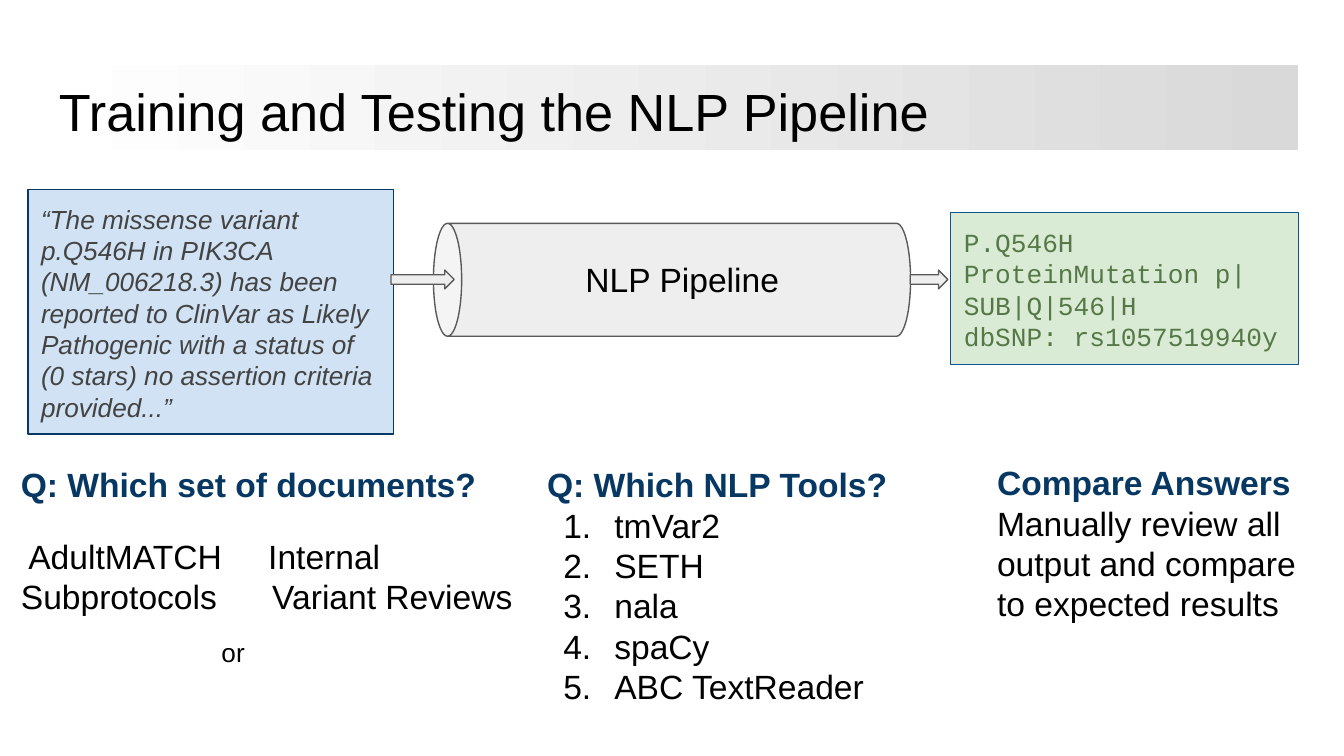
from lxml import etree
from pptx import Presentation
from pptx import util as u
from pptx.dml.color import RGBColor
from pptx.enum import shapes, text
from pptx.oxml import ns

COLUMNS = 100
WIDTH = u.Inches(10)
HEIGHT = WIDTH * 9 // 16
CELL = WIDTH // COLUMNS
MARGIN = CELL
BLACK = RGBColor(0x00, 0x00, 0x00)
WHITE = RGBColor(0xFF, 0xFF, 0xFF)
SILVER = RGBColor(0xD9, 0xD9, 0xD9)
PALE_GREY = RGBColor(0xEE, 0xEE, 0xEE)
MID_GREY = RGBColor(0x59, 0x59, 0x59)
DARK_GREY = RGBColor(0x43, 0x43, 0x43)
NAVY = RGBColor(0x07, 0x37, 0x63)
BLUE = RGBColor(0x0B, 0x53, 0x94)
PALE_BLUE = RGBColor(0xD0, 0xE2, 0xF3)
PALE_GREEN = RGBColor(0xD9, 0xEB, 0xD4)
GREEN = RGBColor(0x56, 0x78, 0x47)

INPUT_TEXT = (
    "“The missense variant p.Q546H in PIK3CA (NM_006218.3) has been reported to "
    "ClinVar as Likely Pathogenic with a status of (0 stars) no assertion criteria provided...”"
)
OUTPUT_LINES = ["P.Q546H ProteinMutation p|SUB|Q|546|H", "dbSNP: rs1057519940y"]
TOOLS = ["tmVar2", "SETH", "nala", "spaCy", "ABC TextReader"]
DOCUMENTS = [(" AdultMATCH\tInternal", 17, 1.84), ("Subprotocols\tVariant Reviews", 0, 1.87)]


def grid(*cells):
    return [round(cell * CELL) for cell in cells]


def add_box(slide, cells, kind=shapes.MSO_SHAPE.RECTANGLE, fill=None, line=None):
    shape = slide.shapes.add_shape(kind, *grid(*cells))
    shape.shadow.inherit = False
    if fill is None:
        shape.fill.background()
    else:
        shape.fill.solid()
        shape.fill.fore_color.rgb = fill
    if line is None:
        shape.line.fill.background()
    else:
        shape.line.color.rgb = line
        shape.line.width = u.Pt(0.75)
    return shape


def add_text_box(slide, cells):
    return slide.shapes.add_textbox(*grid(*cells))


def write(shape, content, size=18, color=BLACK, font="Arial", bold=False,
          italic=False, align=text.PP_ALIGN.LEFT, before=0):
    frame = shape.text_frame
    frame.word_wrap = True
    frame.vertical_anchor = text.MSO_ANCHOR.TOP
    frame.margin_left = frame.margin_right = MARGIN
    frame.margin_top = frame.margin_bottom = MARGIN
    paragraph = frame.add_paragraph() if frame.text else frame.paragraphs[0]
    paragraph.alignment = align
    paragraph.space_before = u.Pt(before)
    run = paragraph.add_run()
    run.text = content
    run.font.size = u.Pt(size)
    run.font.name = font
    run.font.color.rgb = color
    run.font.bold = bold
    run.font.italic = italic
    return paragraph


def add_property(parent, tag, **attributes):
    return etree.SubElement(parent, ns.qn(tag), attributes)


def number(paragraph):
    properties = paragraph._p.get_or_add_pPr()
    properties.set("marL", str(u.Inches(0.5)))
    properties.set("indent", str(u.Inches(-0.38)))
    add_property(add_property(properties, "a:buClr"), "a:srgbClr", val=str(BLACK))
    add_property(properties, "a:buAutoNum", type="arabicPeriod")


def add_tab_stop(paragraph, position):
    properties = paragraph._p.get_or_add_pPr()
    add_property(properties, "a:buNone")
    stops = add_property(properties, "a:tabLst")
    add_property(stops, "a:tab", pos=str(u.Inches(position)), algn="l")


def add_title(slide):
    title = add_box(slide, (3.4, 4.87, 93.2, 6.3))
    title.fill.gradient()
    title.fill.gradient_angle = 0
    for stop, color in zip(title.fill.gradient_stops, (WHITE, SILVER)):
        stop.color.rgb = color
    write(title, "Training and Testing the NLP Pipeline", size=28)


def add_flow(slide):
    source = add_box(slide, (2.07, 14.1, 27.2, 18.2), fill=PALE_BLUE, line=NAVY)
    write(source, INPUT_TEXT, size=14, color=DARK_GREY, italic=True)
    result = add_box(slide, (70.73, 15.83, 25.9, 11.3), fill=PALE_GREEN, line=BLUE)
    for line in OUTPUT_LINES:
        write(result, line, size=14, color=GREEN, font="Courier New")
    pipe = add_box(slide, (45.8, 3.07, 8.4, 35.5), shapes.MSO_SHAPE.CAN, PALE_GREY, MID_GREY)
    pipe.rotation = 270
    pipe.adjustments[0] = 0.25
    for left, width in ((29.1, 4.7), (67.73, 2.8)):
        add_box(slide, (left, 20.1, width, 1.4), shapes.MSO_SHAPE.RIGHT_ARROW,
                PALE_GREY, MID_GREY)
    label = add_text_box(slide, (39.77, 18.24, 22, 3.8))
    write(label, "NLP Pipeline", align=text.PP_ALIGN.CENTER)


def add_section(slide, cells, heading):
    section = add_text_box(slide, cells)
    write(section, heading, color=NAVY, bold=True)
    return section


def add_questions(slide):
    tools = add_section(slide, (39.73, 33.54, 28, 22), "Q: Which NLP Tools?")
    for tool in TOOLS:
        number(write(tools, tool))
    documents = add_section(slide, (0.57, 33.5, 39.2, 19.2), "Q: Which set of documents?")
    for line, before, position in DOCUMENTS:
        add_tab_stop(write(documents, line, before=before), position)
    write(add_text_box(slide, (15.5, 46.34, 5.4, 3.8)), "or", size=14)
    answers = add_section(slide, (73.2, 33.4, 25.2, 22), "Compare Answers")
    write(answers, "Manually review all output and compare to expected results")


def main():
    presentation = Presentation()
    presentation.slide_width, presentation.slide_height = WIDTH, HEIGHT
    slide = presentation.slides.add_slide(presentation.slide_layouts[6])
    add_title(slide)
    add_flow(slide)
    add_questions(slide)
    presentation.save("out.pptx")


if __name__ == "__main__":
    main()
